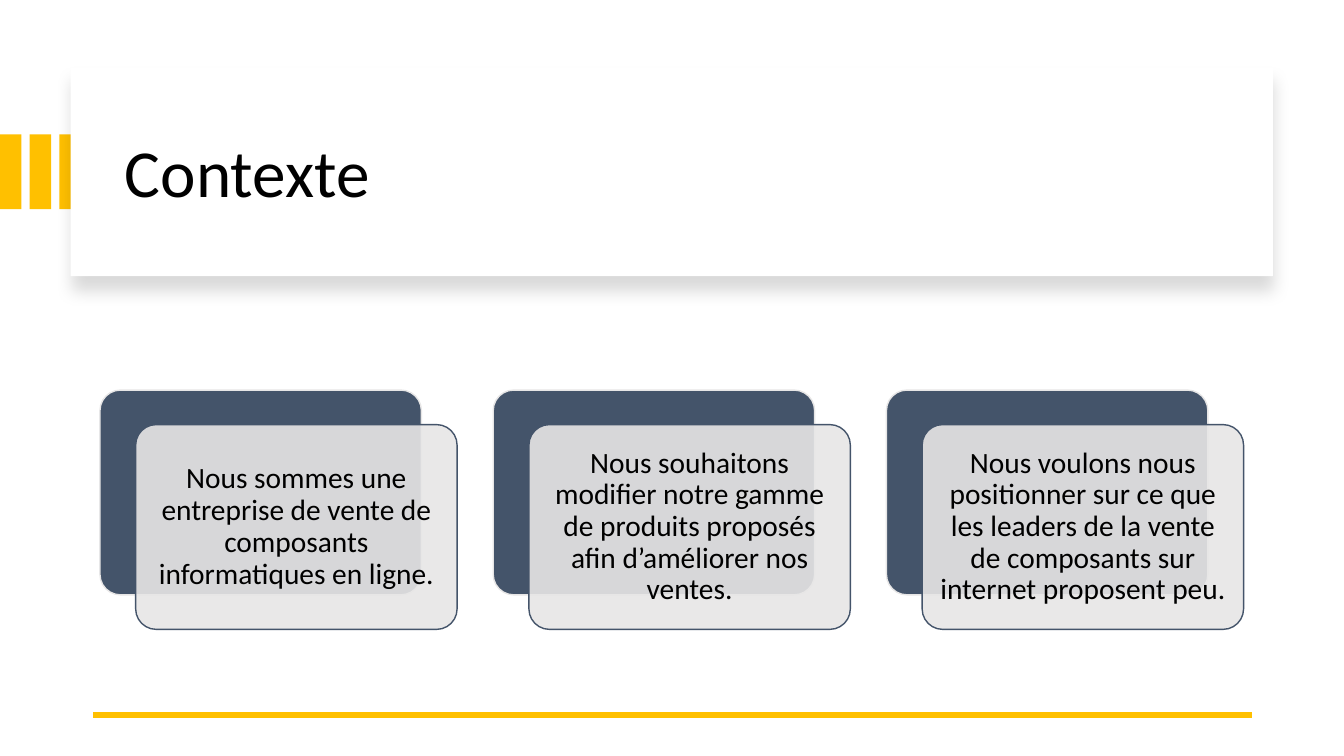
import lxml.etree
import pptx
import pptx.dml.color
import pptx.enum.shapes
import pptx.enum.text
import pptx.oxml.ns
import pptx.util

Cm, Pt = pptx.util.Cm, pptx.util.Pt
qn = pptx.oxml.ns.qn
KIND = pptx.enum.shapes.MSO_SHAPE
ALIGN = pptx.enum.text.PP_ALIGN


def color(code):
    return pptx.dml.color.RGBColor.from_string(code)


def child(parent, tag, **attrs):
    return lxml.etree.SubElement(parent, qn(tag), attrs)


class Deck:
    font = "Calibri"
    gold, navy, pale = "FFC000", "44546A", "E7E6E6"
    white, black = "FFFFFF", "000000"

    def __init__(self):
        self.file = pptx.Presentation()
        self.file.slide_width = Cm(33.87)
        self.file.slide_height = Cm(19.05)
        self.slide = self.file.slides.add_slide(self.file.slide_layouts[5])

    def label(self, shape, text, size, align, inset):
        frame = shape.text_frame
        frame.text = text
        frame.word_wrap = True
        frame.auto_size = pptx.enum.text.MSO_AUTO_SIZE.NONE
        frame.vertical_anchor = pptx.enum.text.MSO_ANCHOR.MIDDLE
        frame.margin_left = frame.margin_right = Cm(inset[0])
        frame.margin_top = frame.margin_bottom = Cm(inset[1])
        para = frame.paragraphs[0]
        para.alignment = align
        para.line_spacing = 0.9
        for run in para.runs:
            run.font.name = self.font
            run.font.size = Pt(size)
            run.font.color.rgb = color(self.black)

    def title(self, text, box):
        shape = self.slide.shapes.title
        shape.left, shape.top, shape.width, shape.height = map(Cm, box)
        self.label(shape, text, 48, ALIGN.LEFT, (0.25, 0.13))
        # Bring the title in front of its panel
        self.slide.shapes.element.append(shape.element)

    def block(self, box, fill, line=None, kind=KIND.RECTANGLE):
        shape = self.slide.shapes.add_shape(kind, *map(Cm, box))
        shape.shadow.inherit = False
        shape.fill.solid()
        shape.fill.fore_color.rgb = color(fill)
        if line:
            shape.line.color.rgb = color(line)
            shape.line.width = Pt(1)
        else:
            shape.line.fill.background()
        return shape

    def panel(self, box):
        shape = self.block(box, self.white)
        effects = shape.element.spPr.find(qn("a:effectLst"))
        shadow = child(effects, "a:outerShdw", blurRad=str(Pt(11)),
                       dist=str(Pt(10)), dir="5400000", algn="t", rotWithShape="0")
        tint = child(shadow, "a:srgbClr", val=self.black)
        child(tint, "a:alpha", val="15000")

    def plate(self, box, fill, line):
        shape = self.block(box, fill, line, KIND.ROUNDED_RECTANGLE)
        shape.adjustments[0] = 0.1
        return shape

    def card(self, left, top, text):
        wide, high = 8.1, 5.16
        self.plate((left, top, wide, high), self.navy, self.pale)
        front = self.plate((left + 0.9, top + 0.87, wide, high), self.pale, self.navy)
        tint = front.element.spPr.find(qn("a:solidFill")).find(qn("a:srgbClr"))
        child(tint, "a:alpha", val="90000")
        self.label(front, text, 21, ALIGN.CENTER, (0.23, 0.23))

    def rule(self, start, end, y):
        line = self.slide.shapes.add_connector(
            pptx.enum.shapes.MSO_CONNECTOR.STRAIGHT, Cm(start), Cm(y), Cm(end), Cm(y))
        line.line.color.rgb = color(self.gold)
        line.line.width = Pt(4.5)
        child(line.element.spPr, "a:effectLst")


deck = Deck()

# Header: gold bars, raised panel and title
for i in range(3):
    deck.block((i * 0.75, 3.39, 0.54, 1.88), deck.gold)
deck.panel((1.78, 1.7, 30.3, 5.26))
deck.title("Contexte", (2.9, 2.26, 28.27, 4.32))

# Footer rule
deck.rule(31.55, 2.34, 18.01)

# Context cards
points = [
    "Nous sommes une entreprise de vente de composants informatiques en ligne.",
    "Nous souhaitons modifier notre gamme de produits proposés afin d’améliorer nos ventes.",
    "Nous voulons nous positionner sur ce que les leaders de la vente de composants "
    "sur internet proposent peu.",
]
for i, text in enumerate(points):
    deck.card(2.52 + i * 9.91, 9.83, text)

deck.file.save("out.pptx")
